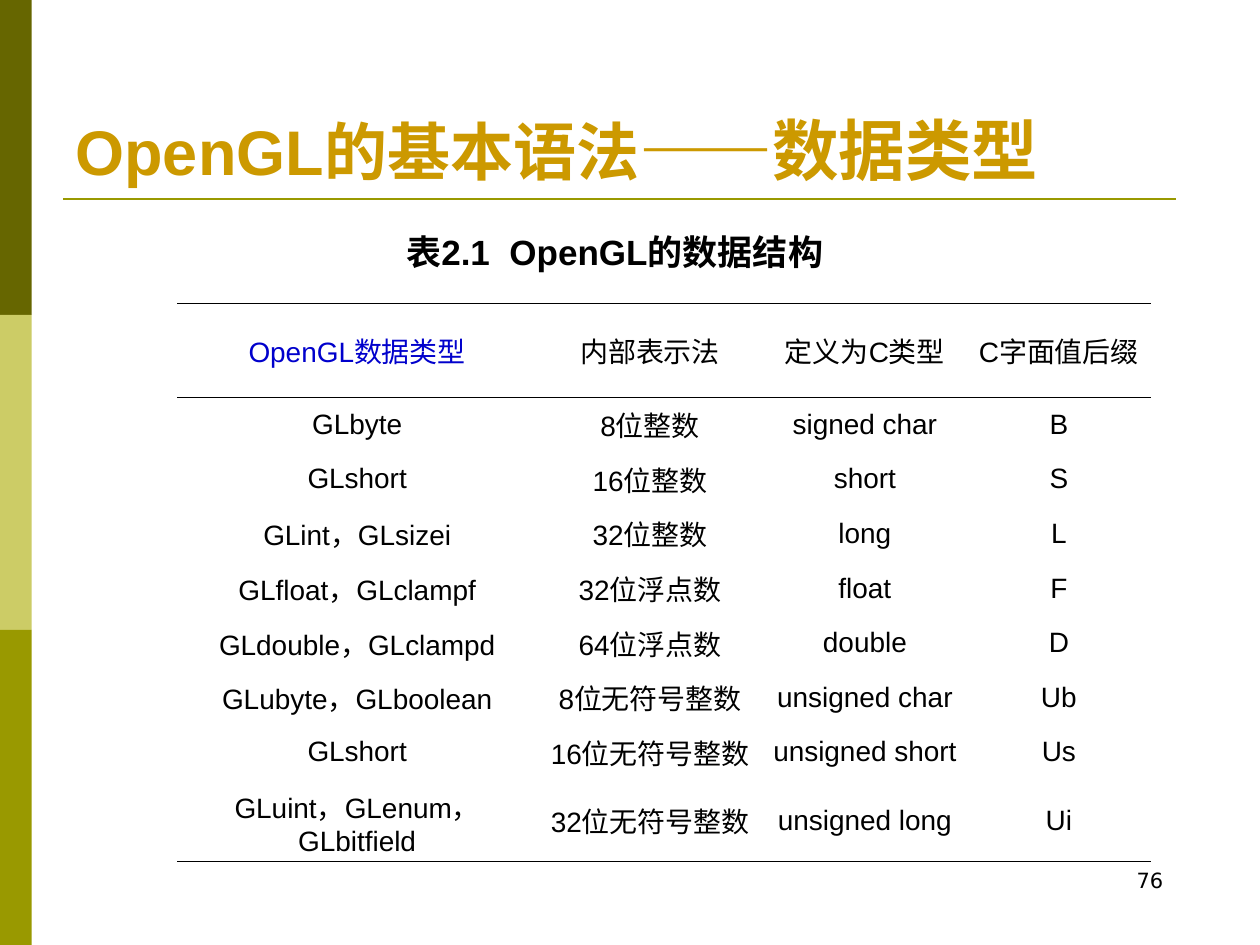
from dataclasses import dataclass

from lxml.etree import SubElement
from pptx import Presentation
from pptx.dml.color import RGBColor
from pptx.enum.shapes import MSO_CONNECTOR, MSO_SHAPE
from pptx.enum.text import MSO_ANCHOR, MSO_AUTO_SIZE, PP_ALIGN
from pptx.oxml.ns import qn
from pptx.util import Cm, Pt


@dataclass(frozen=True)
class Theme:
    bands: tuple = ("666600", "CCCC66", "999900")
    rule: str = "999900"
    title: str = "CC9900"
    text: str = "000000"
    highlight: str = "0000CC"
    font: str = "Arial"
    number_font: str = "DejaVu Sans"
    title_size: float = 36
    subject_size: float = 38
    caption_size: float = 20
    table_size: float = 16
    number_size: float = 12
    rule_width: float = 1.5
    border_width: float = 0.45


THEME = Theme()
COLUMN_WIDTHS = (7.26, 4.55, 4.11, 3.71)
HEADER_HEIGHT, ROW_HEIGHT, LAST_ROW_HEIGHT = 1.9, 1.1, 1.66
DATA_TYPES = (
    ("OpenGL数据类型", "内部表示法", "定义为C类型", "C字面值后缀"),
    ("GLbyte", "8位整数", "signed char", "B"),
    ("GLshort", "16位整数", "short", "S"),
    ("GLint，GLsizei", "32位整数", "long", "L"),
    ("GLfloat，GLclampf", "32位浮点数", "float", "F"),
    ("GLdouble，GLclampd", "64位浮点数", "double", "D"),
    ("GLubyte，GLboolean", "8位无符号整数", "unsigned char", "Ub"),
    ("GLshort", "16位无符号整数", "unsigned short", "Us"),
    ("GLuint，GLenum，GLbitfield", "32位无符号整数", "unsigned long", "Ui"),
)


def set_attributes(target, values):
    for name, value in values.items():
        setattr(target, name, value)


def add_run(paragraph, text, size, color=THEME.text, font=THEME.font, bold=False):
    run = paragraph.add_run()
    run.text = text
    set_attributes(run.font, {"size": Pt(size), "name": font, "bold": bold})
    run.font.color.rgb = RGBColor.from_string(color)


def add_side_bands(slide):
    height = 19.05 / len(THEME.bands)
    for index, color in enumerate(THEME.bands):
        shape = slide.shapes.add_shape(
            MSO_SHAPE.RECTANGLE, 0, Cm(index * height), Cm(0.64), Cm(height))
        shape.shadow.inherit = False
        shape.fill.solid()
        shape.fill.fore_color.rgb = RGBColor.from_string(color)
        shape.line.fill.background()


def add_title_rule(slide):
    connector = slide.shapes.add_connector(
        MSO_CONNECTOR.STRAIGHT, Cm(1.27), Cm(4.01), Cm(23.7), Cm(4.01))
    connector.line.color.rgb = RGBColor.from_string(THEME.rule)
    connector.line.width = Pt(THEME.rule_width)
    SubElement(connector._element.spPr, qn("a:effectLst"))


def format_title(slide):
    title = slide.shapes.title
    set_attributes(title, {"left": Cm(1.27), "top": Cm(0.76),
                           "width": Cm(22.86), "height": Cm(3.18)})
    set_attributes(title.text_frame, {"vertical_anchor": MSO_ANCHOR.BOTTOM,
                                      "auto_size": MSO_AUTO_SIZE.NONE,
                                      "word_wrap": True})
    paragraph = title.text_frame.paragraphs[0]
    paragraph.alignment = PP_ALIGN.LEFT
    for text, size in (("OpenGL的基本语法", THEME.title_size),
                       ("——数据类型", THEME.subject_size)):
        add_run(paragraph, text, size, THEME.title, bold=True)


def add_text(slide, box, text, size, alignment=PP_ALIGN.LEFT, **style):
    shape = slide.shapes.add_textbox(*map(Cm, box))
    shape.text_frame.word_wrap = True
    paragraph = shape.text_frame.paragraphs[0]
    paragraph.alignment = alignment
    add_run(paragraph, text, size, **style)


def set_borders(cell, visible_sides):
    properties = cell._tc.get_or_add_tcPr()
    for side in "LRTB":
        line = SubElement(properties, qn(f"a:ln{side}"))
        if side in visible_sides:
            line.set("w", str(int(Pt(THEME.border_width))))
            fill = SubElement(line, qn("a:solidFill"))
            SubElement(fill, qn("a:srgbClr")).set("val", THEME.text)
        else:
            SubElement(line, qn("a:noFill"))


def format_cell(cell, text, color, visible_sides):
    set_attributes(cell, {"margin_left": Cm(0.2), "margin_right": Cm(0.2),
                          "margin_top": Cm(0.13), "margin_bottom": Cm(0.13),
                          "vertical_anchor": MSO_ANCHOR.MIDDLE})
    set_borders(cell, visible_sides)
    cell.fill.background()
    paragraph = cell.text_frame.paragraphs[0]
    paragraph.alignment = PP_ALIGN.CENTER
    add_run(paragraph, text, THEME.table_size, color)


def add_data_type_table(slide):
    last = len(DATA_TYPES) - 1
    borders = {0: "TB", 1: "T", last: "B"}
    heights = [HEADER_HEIGHT, *[ROW_HEIGHT] * (last - 1), LAST_ROW_HEIGHT]
    table = slide.shapes.add_table(
        len(DATA_TYPES), len(COLUMN_WIDTHS), Cm(3.57), Cm(6.11),
        Cm(sum(COLUMN_WIDTHS)), Cm(sum(heights))).table
    set_attributes(table, {"first_row": False, "horz_banding": False})
    for column, width in zip(table.columns, COLUMN_WIDTHS):
        column.width = Cm(width)
    for row_index, texts in enumerate(DATA_TYPES):
        table.rows[row_index].height = Cm(heights[row_index])
        for column_index, text in enumerate(texts):
            is_key = row_index == column_index == 0
            format_cell(table.cell(row_index, column_index), text,
                        THEME.highlight if is_key else THEME.text,
                        borders.get(row_index, ""))


def main():
    presentation = Presentation()
    set_attributes(presentation, {"slide_width": Cm(25.4), "slide_height": Cm(19.05)})
    slide = presentation.slides.add_slide(presentation.slide_layouts[5])
    add_side_bands(slide)
    add_title_rule(slide)
    format_title(slide)
    add_text(slide, (18.2, 17.36, 5.5, 1.32), "76", THEME.number_size,
             PP_ALIGN.RIGHT, font=THEME.number_font)
    add_data_type_table(slide)
    add_text(slide, (7.94, 4.53, 14.1, 1.11), "表2.1  OpenGL的数据结构",
             THEME.caption_size, bold=True)
    presentation.save("out.pptx")


if __name__ == "__main__":
    main()
